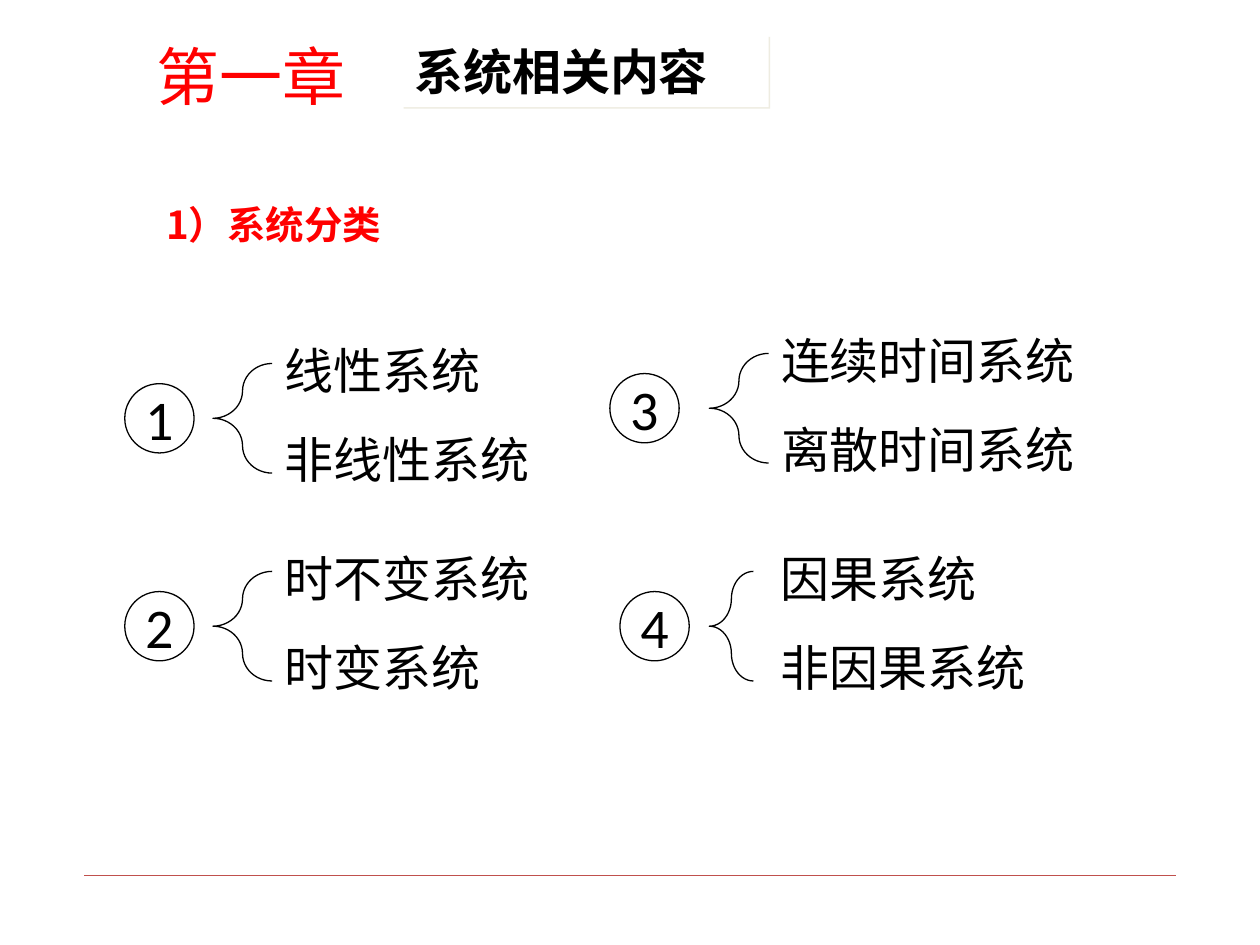
from dataclasses import dataclass

from lxml.etree import SubElement
from pptx import Presentation
from pptx.dml.color import RGBColor
from pptx.enum.shapes import MSO_CONNECTOR, MSO_SHAPE
from pptx.enum.text import MSO_ANCHOR, PP_ALIGN
from pptx.oxml.ns import qn
from pptx.util import Inches, Pt

BLACK = RGBColor(0x00, 0x00, 0x00)
RED = RGBColor(0xFF, 0x00, 0x00)
WHITE = RGBColor(0xFF, 0xFF, 0xFF)
RULE_RED = RGBColor(0xC0, 0x50, 0x4D)
SHADOW_COLOR = "EEECE1"

BODY_FONT = "Calibri"
TITLE_FONT = "Noto Sans CJK SC"
CIRCLE_SIZE = 0.55
BRACE_HEIGHT = 0.87
LIST_HEIGHT = 1.28

BODY = {"name": BODY_FONT, "size": Pt(28)}
NUMBER = {"name": BODY_FONT, "size": Pt(32)}
CHAPTER = {"name": TITLE_FONT, "size": Pt(36)}
TOPIC = {"name": TITLE_FONT, "size": Pt(28), "bold": True}
HEADING = {"name": TITLE_FONT, "size": Pt(22), "bold": True}


@dataclass
class SystemGroup:
    number: str
    items: list[str]
    circle_left: float
    brace_left: float
    list_left: float
    middle: float
    brace_width: float = 0.47
    list_width: float = 2.68


GROUPS = [
    SystemGroup("1", ["线性系统", "非线性系统"], 0.99, 1.69, 2.16, 3.32),
    SystemGroup("2", ["时不变系统", "时变系统"], 0.99, 1.69, 2.16, 4.97),
    SystemGroup("3", ["连续时间系统", "离散时间系统"], 4.84, 5.63, 6.1, 3.24),
    SystemGroup("4", ["因果系统", "非因果系统"], 4.92, 5.63, 6.1, 4.97,
                brace_width=0.35, list_width=2.36),
]


def write_lines(shape, lines: list[str], style: dict, color: RGBColor = BLACK,
                align=PP_ALIGN.LEFT, gap: float = 0) -> None:
    frame = shape.text_frame
    for index, line in enumerate(lines):
        para = frame.add_paragraph() if index else frame.paragraphs[0]
        para.alignment = align
        if index:
            para.space_before = Pt(gap)
        span = para.add_run()
        span.text = line
        for name, value in style.items():
            setattr(span.font, name, value)
        span.font.color.rgb = color
        # East Asian characters take their own typeface element
        SubElement(span.font._element, qn("a:ea"), typeface=style["name"])


def add_text(page, left: float, top: float, width: float, height: float,
             anchor=MSO_ANCHOR.TOP):
    box = page.shapes.add_textbox(Inches(left), Inches(top), Inches(width), Inches(height))
    box.text_frame.word_wrap = True
    box.text_frame.vertical_anchor = anchor
    return box


def add_outline(page, kind, left: float, middle: float, width: float, height: float):
    shape = page.shapes.add_shape(kind, Inches(left), Inches(middle - height / 2),
                                  Inches(width), Inches(height))
    shape.shadow.inherit = False
    shape.fill.background()
    shape.line.color.rgb = BLACK
    shape.line.width = Pt(0.75)
    return shape


def add_group(page, group: SystemGroup) -> None:
    brace = add_outline(page, MSO_SHAPE.LEFT_BRACE, group.brace_left, group.middle,
                        group.brace_width, BRACE_HEIGHT)
    # Each of the four arcs takes a quarter of the height
    brace.adjustments[0] = BRACE_HEIGHT / 4 / group.brace_width

    box = add_text(page, group.list_left, group.middle - 0.67, group.list_width, LIST_HEIGHT)
    write_lines(box, group.items, BODY, gap=17.5)

    circle = add_outline(page, MSO_SHAPE.OVAL, group.circle_left, group.middle,
                         CIRCLE_SIZE, CIRCLE_SIZE)
    circle.text_frame.word_wrap = False
    circle.text_frame.vertical_anchor = MSO_ANCHOR.MIDDLE
    write_lines(circle, [group.number], NUMBER, align=PP_ALIGN.CENTER)


def add_topic(page) -> None:
    panel = page.shapes.add_shape(MSO_SHAPE.RECTANGLE, Inches(3.19), Inches(0.28),
                                  Inches(2.91), Inches(0.57))
    panel.fill.solid()
    panel.fill.fore_color.rgb = WHITE
    panel.line.fill.background()
    effects = SubElement(panel._element.spPr, qn("a:effectLst"))
    shadow = SubElement(effects, qn("a:outerShdw"), dist=str(Pt(1.4)), dir="2700000",
                        algn="ctr", rotWithShape="0")
    SubElement(shadow, qn("a:srgbClr"), val=SHADOW_COLOR)
    panel.text_frame.vertical_anchor = MSO_ANCHOR.TOP
    write_lines(panel, ["系统相关内容"], TOPIC)


def add_rule(page) -> None:
    rule = page.shapes.add_connector(MSO_CONNECTOR.STRAIGHT, Inches(0.67), Inches(6.95),
                                     Inches(9.33), Inches(6.95))
    rule.line.color.rgb = RULE_RED
    rule.line.width = Pt(0.25)
    SubElement(rule._element.spPr, qn("a:effectLst"))


def main() -> None:
    deck = Presentation()
    deck.slide_width, deck.slide_height = Inches(10), Inches(7.5)
    page = deck.slides.add_slide(deck.slide_layouts[6])

    # Footer rule
    add_rule(page)

    # Numbered pairs of system classes
    for group in GROUPS:
        add_group(page, group)

    # Titles
    add_topic(page)
    chapter = add_text(page, 1.14, 0.44, 2.05, 0.51, MSO_ANCHOR.BOTTOM)
    write_lines(chapter, ["第一章"], CHAPTER, RED)
    heading = add_text(page, 1.22, 1.55, 2.13, 0.45)
    write_lines(heading, ["1）系统分类"], HEADING, RED)

    deck.save("out.pptx")


if __name__ == "__main__":
    main()
